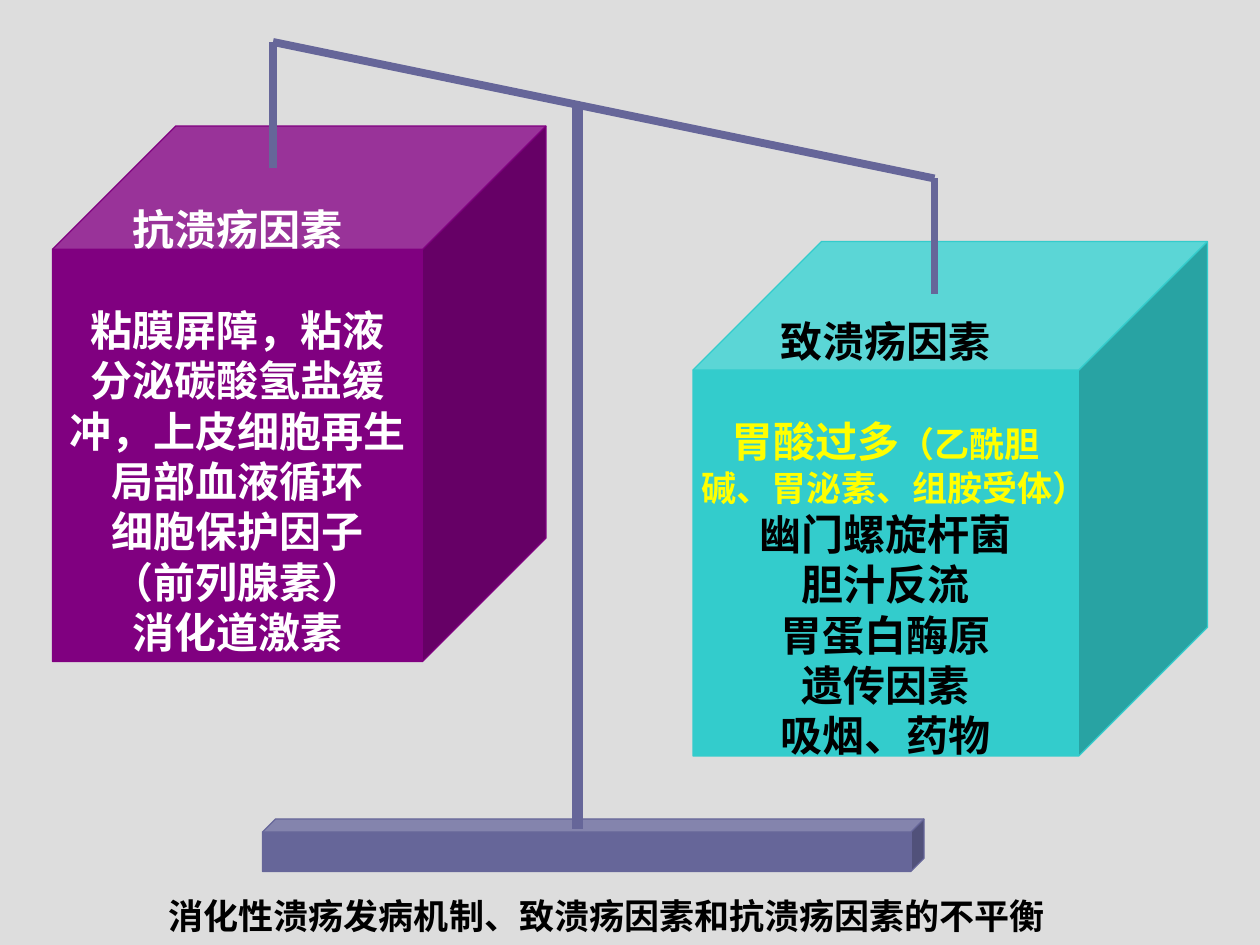
from pptx import Presentation
from pptx.dml.color import RGBColor
from pptx.enum.shapes import MSO_CONNECTOR as Connector, MSO_SHAPE as Shape
from pptx.enum.text import MSO_ANCHOR as Anchor, PP_ALIGN as Align
from pptx.oxml.ns import qn
from pptx.util import Pt
from lxml.etree import SubElement

COLORS = {
    "background": "DDDDDD",
    "steel": "666699",
    "purple": "800080",
    "teal": "33CCCC",
    "white": "FFFFFF",
    "black": "000000",
    "yellow": "FFFF00",
}
LINE_HEIGHT = 28.8


def color(name):
    return RGBColor.from_string(COLORS[name])


class ScaleSlide:
    """Holds the text style and the slide being drawn; lengths are in points."""

    font_name = "Times New Roman"

    def __init__(self, presentation):
        self.slide = presentation.slides.add_slide(presentation.slide_layouts[6])
        fill = self.slide.background.fill
        fill.solid()
        fill.fore_color.rgb = color("background")

    def add_run(self, paragraph, text, size, color_name):
        run = paragraph.add_run()
        run.text = text
        run.font.name = self.font_name
        run.font.size = Pt(size)
        run.font.bold = True
        run.font.color.rgb = color(color_name)

    def add_bar(self, start, end, width=4.5):
        bar = self.slide.shapes.add_connector(
            Connector.STRAIGHT, *map(Pt, start + end))
        bar.line.color.rgb = color("steel")
        bar.line.width = Pt(width)
        SubElement(bar._element.spPr, qn("a:effectLst"))

    def add_cube(self, left, top, width, height, color_name):
        cube = self.slide.shapes.add_shape(
            Shape.CUBE, *map(Pt, (left, top, width, height)))
        cube.adjustments[0] = 0.25
        cube.shadow.inherit = False
        cube.fill.solid()
        cube.fill.fore_color.rgb = color(color_name)
        cube.line.color.rgb = color(color_name)
        cube.line.width = Pt(0.75)
        return cube

    def add_weight(self, box, color_name, lines):
        """Draw a cube with a heading and lines; a line is a list of runs."""
        frame = self.add_cube(*box, color_name).text_frame
        frame.word_wrap = False
        frame.vertical_anchor = Anchor.MIDDLE
        frame.margin_bottom = Pt(3.6 + LINE_HEIGHT)
        paragraphs = [frame.paragraphs[0]]
        paragraphs += [frame.add_paragraph() for _ in lines[1:]]
        for paragraph, runs in zip(paragraphs, lines):
            paragraph.alignment = Align.CENTER
            for run in runs:
                self.add_run(paragraph, *run)
        paragraphs[0].space_after = Pt(LINE_HEIGHT)
        return paragraphs

    def add_caption(self, left, top, width, height, text):
        box = self.slide.shapes.add_textbox(*map(Pt, (left, top, width, height)))
        box.text_frame.word_wrap = False
        self.add_run(box.text_frame.paragraphs[0], text, 20, "black")


def plain_lines(color_name, *texts):
    return [[(text, 24, color_name)] for text in texts]


def main():
    presentation = Presentation()
    presentation.slide_width = Pt(720)
    presentation.slide_height = Pt(540)
    scale = ScaleSlide(presentation)

    left_end, right_end = (156, 24), (534, 102)
    scale.add_bar(left_end, right_end)
    scale.add_caption(89.3, 507.6, 515.5, 31.5,
                      "消化性溃疡发病机制、致溃疡因素和抗溃疡因素的不平衡")
    scale.add_cube(150, 468, 378, 30, "steel")

    scale.add_weight((30, 72, 282, 306), "purple", plain_lines(
        "white", "抗溃疡因素", "粘膜屏障，粘液", "分泌碳酸氢盐缓",
        "冲，上皮细胞再生", "局部血液循环", "细胞保护因子",
        "（前列腺素）", "消化道激素"))
    scale.add_bar(left_end, (156, 96))

    acid_lines = [
        [("胃酸过多", 24, "yellow"), ("（乙酰胆", 20, "yellow")],
        [("碱、胃泌素、组胺受体）", 20, "yellow")],
    ]
    paragraphs = scale.add_weight(
        (396, 138, 294, 294), "teal",
        plain_lines("black", "致溃疡因素") + acid_lines + plain_lines(
            "black", "幽门螺旋杆菌", "胆汁反流", "胃蛋白酶原",
            "遗传因素", "吸烟、药物"))
    paragraphs[2]._p.get_or_add_pPr().set("marL", str(Pt(10)))
    scale.add_bar(right_end, (534, 168))
    scale.add_bar((330, 60), (330, 474), 6)

    presentation.save("out.pptx")


if __name__ == "__main__":
    main()
